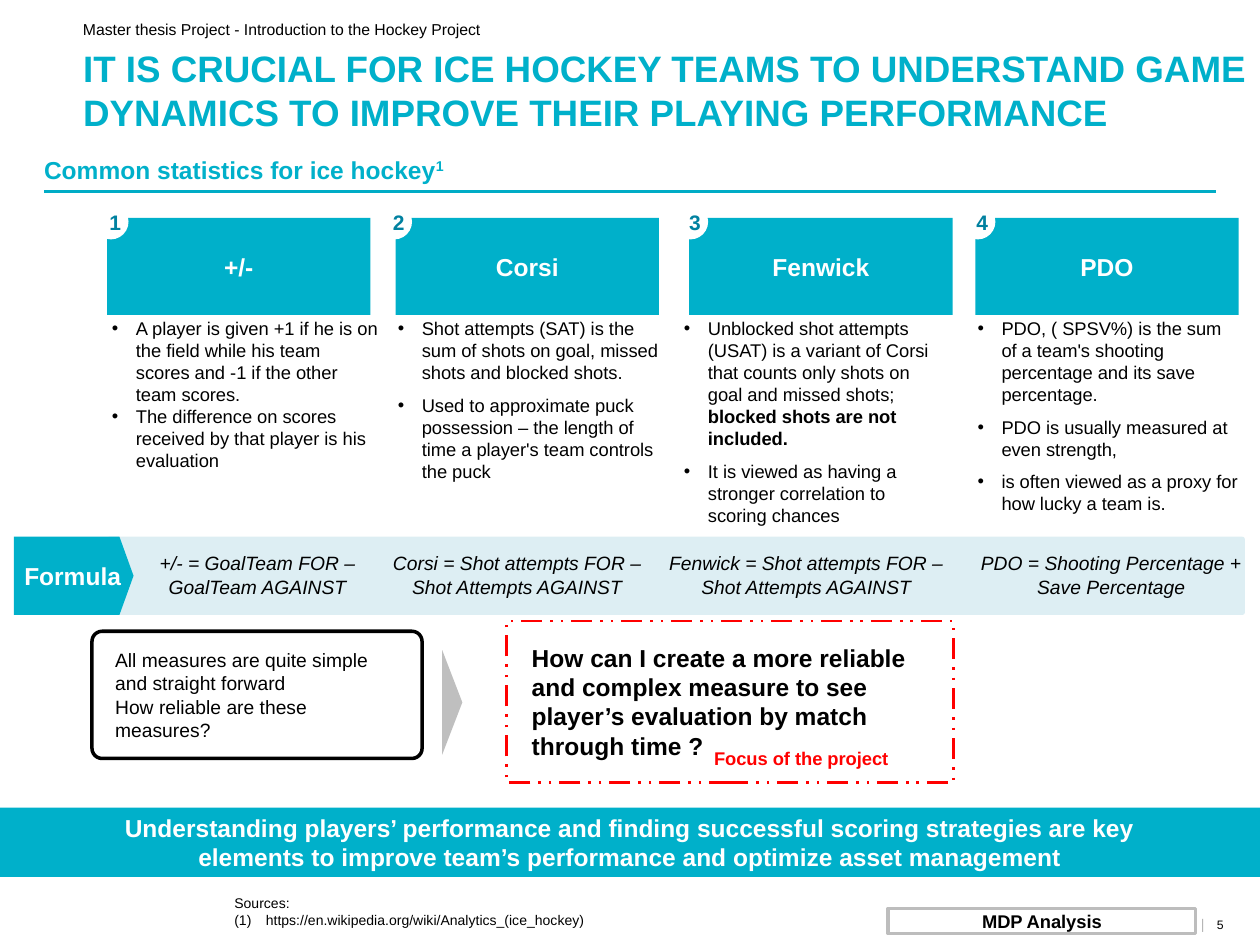
"""Build the ice hockey statistics slide."""
from lxml.etree import SubElement
from pptx import Presentation
from pptx.dml.color import RGBColor
from pptx.enum.dml import MSO_LINE
from pptx.enum.shapes import MSO_CONNECTOR, MSO_SHAPE
from pptx.enum.text import MSO_ANCHOR, PP_ALIGN
from pptx.oxml.ns import qn
from pptx.util import Inches, Pt

CYAN = RGBColor(0x00, 0xB0, 0xCA)
RULE_CYAN = RGBColor(0x00, 0xAC, 0xC6)
DARK_CYAN = RGBColor(0x00, 0x81, 0xA0)
PALE_CYAN = RGBColor(0xDD, 0xEE, 0xF3)
WHITE = RGBColor(0xFF, 0xFF, 0xFF)
BLACK = RGBColor(0x00, 0x00, 0x00)
RED = RGBColor(0xFF, 0x00, 0x00)
GRAY = RGBColor(0xBF, 0xBF, 0xBF)
BORDER_GRAY = RGBColor(0xBD, 0xBD, 0xBD)
PIPE_GRAY = RGBColor(0xB6, 0xB6, 0xB6)


def add_box(kind, box, fill=None, line=None, width=2):
    position = [Inches(value) for value in box]
    if kind is None:
        return slide.shapes.add_textbox(*position)
    shape = slide.shapes.add_shape(kind, *position)
    shape.shadow.inherit = False
    if fill is None:
        shape.fill.background()
    else:
        shape.fill.solid()
        shape.fill.fore_color.rgb = fill
    if line is None:
        shape.line.fill.background()
    else:
        shape.line.color.rgb = line
        shape.line.width = Pt(width)
    return shape


def write(shape, lines, size, color=BLACK, bold=False, italic=False, align=PP_ALIGN.LEFT,
          anchor=MSO_ANCHOR.MIDDLE, insets=(0.1, 0.05, 0.1, 0.05), bullet=None, after=0):
    frame = shape.text_frame
    frame.word_wrap = True
    frame.vertical_anchor = anchor
    frame.margin_left, frame.margin_top, frame.margin_right, frame.margin_bottom = map(Inches, insets)
    for index, text in enumerate(lines):
        paragraph = frame.paragraphs[0] if index == 0 else frame.add_paragraph()
        paragraph.text = text
        paragraph.alignment = align
        paragraph.space_before = Pt(0)
        paragraph.space_after = Pt(after)
        if bullet:
            properties = paragraph._p.get_or_add_pPr()
            properties.set("marL", str(Inches(0.19)))
            properties.set("indent", str(-Inches(0.19)))
            SubElement(properties, qn("a:buFont"), typeface="Arial")
            SubElement(properties, qn("a:buChar"), char=bullet)
        font = paragraph.font
        font.name, font.size, font.bold, font.italic = "Arial", Pt(size), bold, italic
        font.color.rgb = color
    return frame


presentation = Presentation()
presentation.slide_width = Inches(10)
presentation.slide_height = Inches(7.5)
slide = presentation.slides.add_slide(presentation.slide_layouts[5])

title = slide.shapes.title
title.left, title.top, title.width, title.height = map(Inches, (0.56, 0.31, 9.44, 0.92))
write(title, ["IT IS CRUCIAL FOR ICE HOCKEY TEAMS TO UNDERSTAND GAME DYNAMICS "
              "TO IMPROVE THEIR PLAYING PERFORMANCE"], 21, CYAN, True, anchor=MSO_ANCHOR.TOP)
write(add_box(None, (0.56, 0.13, 9.08, 0.21)),
      ["Master thesis Project - Introduction to the Hockey Project"], 9)

subtitle = add_box(MSO_SHAPE.RECTANGLE, (0.35, 1.22, 9.3, 0.29), WHITE)
frame = write(subtitle, ["Common statistics for ice hockey"], 14, CYAN, True,
              anchor=MSO_ANCHOR.BOTTOM, insets=(0, 0.05, 0, 0.05))
footnote_mark = frame.paragraphs[0].add_run()
footnote_mark.text = "1"
footnote_mark._r.get_or_add_rPr().set("baseline", "30000")
rule = slide.shapes.add_connector(MSO_CONNECTOR.STRAIGHT, Inches(0.35), Inches(1.52),
                                  Inches(9.65), Inches(1.52))
rule.line.color.rgb = RULE_CYAN
rule.line.width = Pt(1.5)
SubElement(rule._element.spPr, qn("a:effectLst"))

formula_band = add_box(MSO_SHAPE.ROUNDED_RECTANGLE, (0.85, 4.26, 9.03, 0.62), PALE_CYAN)
formula_band.adjustments[0] = 0.03

statistics = [
    ("+/-", 0.85, 0.74, (0.79, 2.31), (1.06, 1.97), 0,
     ["A player is given +1 if he is on the field while his team scores and -1 if the other team scores.",
      "The difference on scores received by that player is his evaluation"],
     "+/- = GoalTeam FOR – GoalTeam AGAINST"),
    ("Corsi", 3.14, 2.99, (3.06, 2.36), (3, 2.21), 6,
     ["Shot attempts (SAT) is the sum of shots on goal, missed shots and blocked shots.",
      "Used to approximate puck possession – the length of time a player's team controls the puck"],
     "Corsi = Shot attempts FOR – Shot Attempts AGAINST"),
    ("Fenwick", 5.47, 5.34, (5.33, 2.28), (5.18, 2.44), 6,
     ["Unblocked shot attempts (USAT) is a variant of Corsi that counts only shots on goal and missed shots; ",
      "It is viewed as having a stronger correlation to scoring chances"],
     "Fenwick = Shot attempts FOR – Shot Attempts AGAINST"),
    ("PDO", 7.74, 7.62, (7.66, 2.28), (7.6, 2.44), 6,
     ["PDO, ( SPSV%) is the sum of a team's shooting percentage and its save percentage.",
      "PDO is usually measured at even strength,",
      "is often viewed as a proxy for how lucky a team is."],
     "PDO = Shooting Percentage + Save Percentage"),
]
for number, (name, left, badge_left, notes_span, formula_span, after, notes, formula) in enumerate(statistics, 1):
    header = add_box(MSO_SHAPE.RECTANGLE, (left, 1.73, 2.09, 0.77), CYAN)
    write(header, [name], 14, WHITE, True, align=PP_ALIGN.CENTER)
    badge = add_box(MSO_SHAPE.OVAL, (badge_left, 1.62, 0.28, 0.28), WHITE)
    write(badge, [str(number)], 12, DARK_CYAN, True, align=PP_ALIGN.CENTER, insets=(0.07, 0, 0, 0))
    notes_box = add_box(None, (notes_span[0], 2.47, notes_span[1], 1.6))
    frame = write(notes_box, notes, 10.5, anchor=MSO_ANCHOR.TOP, bullet="•", after=after)
    if name == "Fenwick":
        emphasis = frame.paragraphs[0].add_run()
        emphasis.text = "blocked shots are not included."
        emphasis.font.bold = True
    formula_box = add_box(None, (formula_span[0], 4.33, formula_span[1], 0.47))
    write(formula_box, [formula], 11, italic=True, align=PP_ALIGN.CENTER, anchor=MSO_ANCHOR.TOP)

formula_label = add_box(MSO_SHAPE.PENTAGON, (0.11, 4.26, 0.95, 0.62), CYAN)
formula_label.adjustments[0] = 0.18
write(formula_label, ["Formula"], 14, WHITE, True, align=PP_ALIGN.CENTER, insets=(0.04, 0, 0, 0))

arrow = add_box(MSO_SHAPE.PENTAGON, (3.51, 5.16, 0.16, 0.83), GRAY)
arrow.adjustments[0] = 1
remark = add_box(MSO_SHAPE.ROUNDED_RECTANGLE, (0.73, 5.01, 2.62, 1.01), WHITE, BLACK)
remark.adjustments[0] = 0.08
write(remark, ["All measures are quite simple and straight forward", "How reliable are these measures?"],
      11, insets=(0.16, 0.05, 0.16, 0.05))

question = add_box(MSO_SHAPE.RECTANGLE, (4.14, 5.06, 3.42, 1.04), WHITE)
write(question, ["How can I create a more reliable and complex measure to see player’s evaluation "
                 "by match through time ?"], 14, bold=True, anchor=MSO_ANCHOR.TOP,
      insets=(0.08, 0.04, 0.04, 0.04))
focus_frame = add_box(MSO_SHAPE.RECTANGLE, (4.02, 4.93, 3.55, 1.28), line=RED, width=1.5)
focus_frame.line.dash_style = MSO_LINE.DASH_DOT_DOT
write(add_box(None, (5.39, 5.88, 1.94, 0.5)), ["Focus of the project"], 10.5, RED, True,
      align=PP_ALIGN.CENTER, anchor=MSO_ANCHOR.TOP)

conclusion = add_box(MSO_SHAPE.RECTANGLE, (0, 6.41, 10, 0.55), CYAN)
write(conclusion, ["Understanding players’ performance and finding successful scoring strategies are key "
                   "elements to improve team’s performance and optimize asset management"],
      14, WHITE, True, align=PP_ALIGN.CENTER, insets=(0.79, 0.05, 0.79, 0.05))

sources = add_box(None, (1.82, 7.09, 5.63, 0.28))
frame = write(sources, ["Sources:"], 8, insets=(0.04, 0.04, 0.04, 0.04))
reference = frame.add_paragraph()
reference.text = "https://en.wikipedia.org/wiki/Analytics_(ice_hockey)"
properties = reference._p.get_or_add_pPr()
properties.set("marL", str(Inches(0.25)))
properties.set("indent", str(-Inches(0.25)))
SubElement(properties, qn("a:buFont"), typeface="Arial")
SubElement(properties, qn("a:buAutoNum"), type="arabicParenBoth")
reference.font.name, reference.font.size = "Arial", Pt(8)
reference.font.color.rgb = BLACK

tag = add_box(MSO_SHAPE.RECTANGLE, (7.05, 7.21, 2.44, 0.2), WHITE, BORDER_GRAY)
write(tag, ["MDP Analysis"], 10.5, bold=True, align=PP_ALIGN.CENTER)
write(add_box(None, (9.48, 7.25, 0.08, 0.16)), ["|"], 8, PIPE_GRAY, align=PP_ALIGN.RIGHT,
      insets=(0, 0, 0, 0))
write(add_box(None, (9.56, 7.23, 0.4, 0.24)), ["5"], 7, anchor=MSO_ANCHOR.TOP)

presentation.save("out.pptx")
